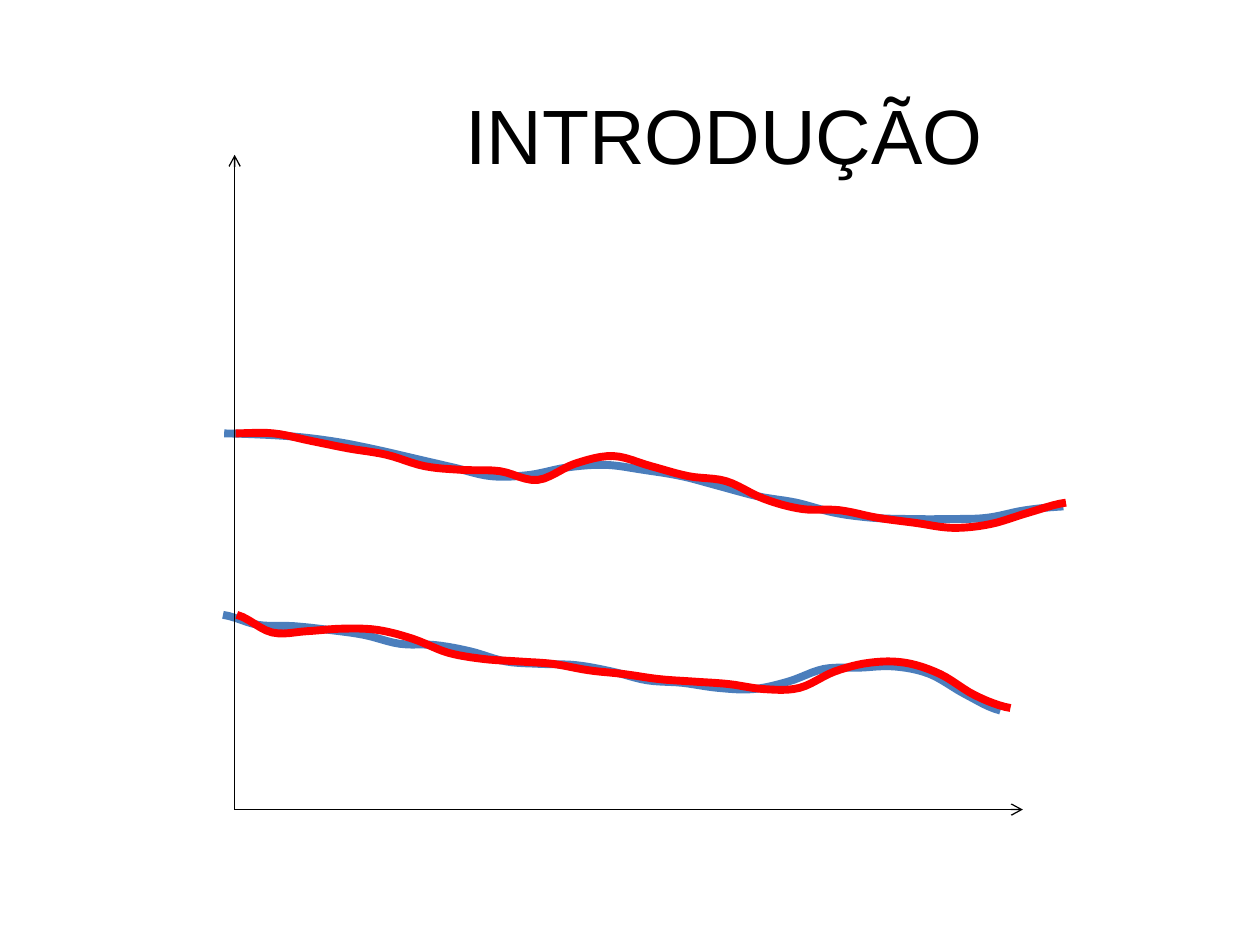
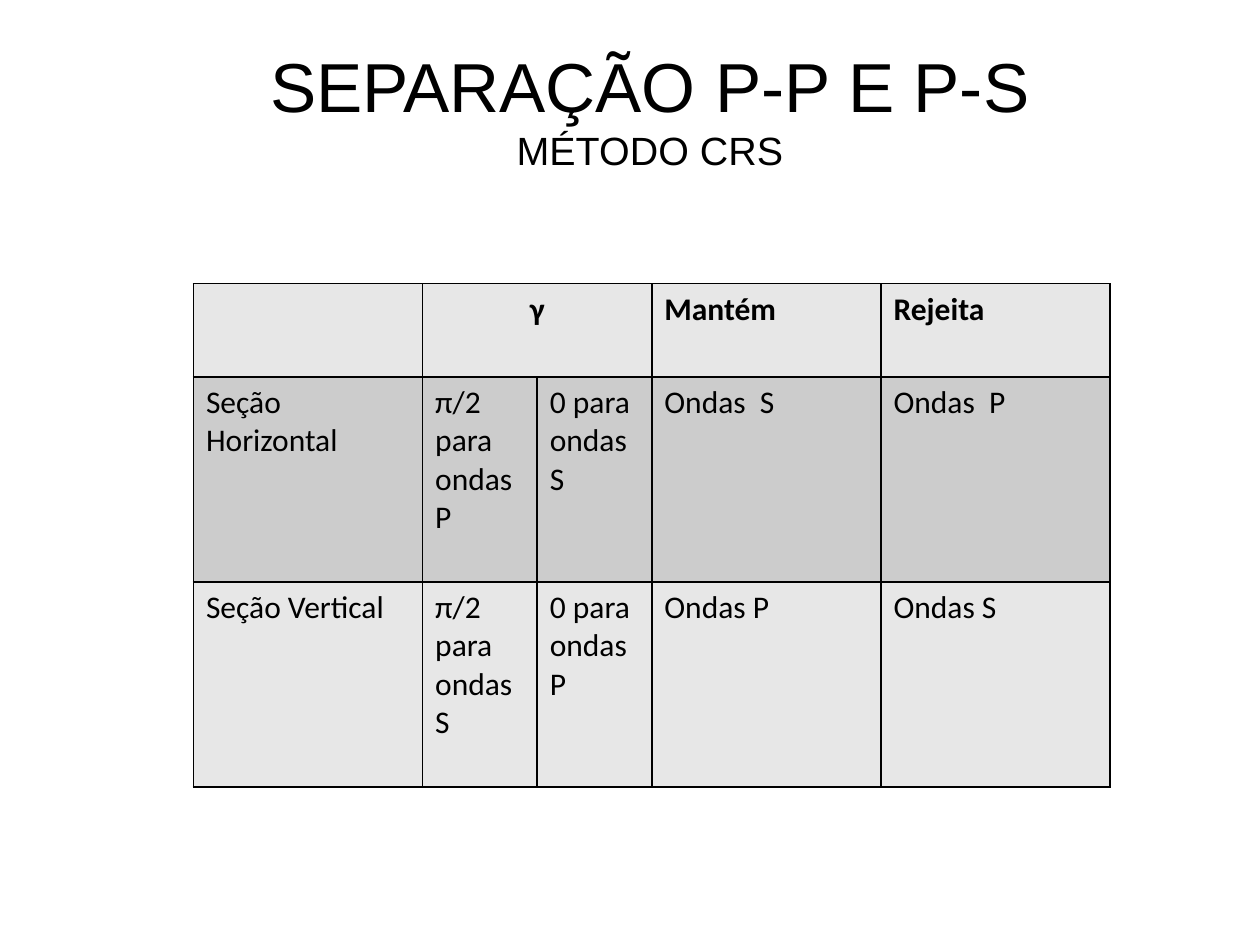
from lxml import etree
from pptx import Presentation, util as u
from pptx.dml.color import RGBColor
from pptx.enum import shapes, text
from pptx.oxml import ns

BLACK, BLUE, RED = "000000", "4B7EBC", "FF0000"
LIGHT, DARK = "E7E7E7", "CCCCCC"
GRID = u.Cm(0.0254)

UPPER_BLUE = [344, 345, 347, 351, 357, 364, 371, 378, 377, 371, 369, 373,
              378, 386, 394, 399, 407, 411, 412, 412, 411, 405, 402]
UPPER_RED = [344, 344, 350, 356, 361, 370, 373, 374, 381, 368, 362, 370,
             378, 382, 396, 404, 405, 411, 415, 419, 416, 407, 399]
LOWER_BLUE = [488, 496, 497, 500, 504, 511, 512, 517, 525, 527, 528, 533,
              540, 542, 546, 547, 541, 531, 530, 529, 535, 551, 564]
LOWER_RED = [488, 502, 501, 499, 500, 507, 518, 523, 525, 527, 532, 535,
             539, 541, 543, 547, 546, 533, 526, 526, 535, 552, 562]

TABLE_ROWS = [
    ["", "γ", "", "Mantém", "Rejeita"],
    ["Seção Horizontal", "π/2 para ondas P", "0 para ondas S", "Ondas  S", "Ondas  P"],
    ["Seção Vertical", "π/2 para ondas S", "0 para ondas P", "Ondas P", "Ondas S"]]


def rgb(value):
    """Turn a hex string into a colour."""
    return RGBColor.from_string(value)


def smooth(heights, parts=6):
    """Fill in heights between the given ones along a Catmull-Rom spline."""
    padded = [heights[0], *heights, heights[-1]]
    result = []
    for a, b, c, d in zip(padded, padded[1:], padded[2:], padded[3:]):
        for k in range(parts):
            t = k / parts
            result.append(b + t / 2 * (c - a + t * (2 * a - 5 * b + 4 * c - d
                                                    + t * (3 * b - a - 3 * c + d))))
    return result + [heights[-1]]


class Deck:
    """Hold the presentation, its style and the current slide."""

    title_font, body_font = "Arial", "Calibri"

    def __init__(self):
        """Start an empty 4:3 presentation."""
        self.prs = Presentation()
        self.prs.slide_width, self.prs.slide_height = u.Cm(25.4), u.Cm(19.05)

    def slide(self):
        """Add a blank slide and make it current."""
        self.s = self.prs.slides.add_slide(self.prs.slide_layouts[6])

    def font(self, p, name, size, bold=False):
        """Style a whole paragraph."""
        p.font.name, p.font.size, p.font.bold = name, u.Pt(size), bold
        p.font.color.rgb = rgb(BLACK)

    def title(self, left, top, *lines):
        """Write centred title lines given as (text, size)."""
        sp = self.s.shapes.add_textbox(u.Cm(left), u.Cm(top), u.Cm(21.59), u.Cm(2.54))
        tf = sp.text_frame
        tf.word_wrap, tf.vertical_anchor = True, text.MSO_ANCHOR.MIDDLE
        tf.text = "\n".join(line for line, _ in lines)
        for p, (_, size) in zip(tf.paragraphs, lines):
            p.alignment = text.PP_ALIGN.CENTER
            self.font(p, self.title_font, size)

    def axis(self, x1, y1, x2, y2):
        """Draw a thin axis with an open arrowhead at its end."""
        cx = self.s.shapes.add_connector(
            shapes.MSO_CONNECTOR.STRAIGHT, *map(u.Cm, (x1, y1, x2, y2)))
        cx.line.color.rgb, cx.line.width = rgb(BLACK), u.Pt(0.75)
        etree.SubElement(cx.line._get_or_add_ln(), ns.qn("a:tailEnd"), type="arrow")
        etree.SubElement(cx._element.spPr, ns.qn("a:effectLst"))

    def wave(self, start, end, heights, color):
        """Draw a thick curve through equally spaced heights, in grid units."""
        ys = smooth(heights)
        step = (end - start) / (len(ys) - 1)
        points = [((start + i * step) * GRID, y * GRID) for i, y in enumerate(ys)]
        fb = self.s.shapes.build_freeform(*points[0])
        fb.add_line_segments(points[1:], close=False)
        sp = fb.convert_to_shape()
        sp.shadow.inherit = False
        sp.fill.background()
        sp.line.color.rgb, sp.line.width = rgb(color), u.Pt(4.5)

    def border(self, cell):
        """Put a black one-point line on every side of a cell."""
        tc_pr = cell._tc.get_or_add_tcPr()
        for side in "LRTB":
            ln = etree.SubElement(tc_pr, ns.qn(f"a:ln{side}"), w=str(u.Pt(1)))
            fill = etree.SubElement(ln, ns.qn("a:solidFill"))
            etree.SubElement(fill, ns.qn("a:srgbClr"), val=BLACK)

    def table(self, left, top, widths, heights, rows):
        """Add a bordered table with a bold header and alternating fills."""
        gf = self.s.shapes.add_table(len(rows), len(widths), u.Cm(left), u.Cm(top),
                                     u.Cm(sum(widths)), u.Cm(sum(heights)))
        tbl = gf.table
        tbl.first_row = tbl.horz_banding = False
        for col, width in zip(tbl.columns, widths):
            col.width = u.Cm(width)
        for i, (row, height) in enumerate(zip(rows, heights)):
            tbl.rows[i].height = u.Cm(height)
            for j, value in enumerate(row):
                cell = tbl.cell(i, j)
                self.border(cell)
                cell.fill.solid()
                cell.fill.fore_color.rgb = rgb(DARK if i % 2 else LIGHT)
                cell.text = value
                self.font(cell.text_frame.paragraphs[0], self.body_font, 18, i == 0)
        return tbl


def introduction(deck):
    """Show two pairs of waves between a vertical and a horizontal axis."""
    deck.slide()
    deck.title(3.81, 1.42, ("INTRODUÇÃO", 44))
    deck.wave(177, 794, LOWER_BLUE, BLUE)
    deck.wave(178, 844, UPPER_BLUE, BLUE)
    origin = 4.73, 16.32
    deck.axis(*origin, 20.62, origin[1])
    deck.axis(*origin, origin[0], 3.12)
    deck.wave(187, 846, UPPER_RED, RED)
    deck.wave(188, 802, LOWER_RED, RED)


def separation(deck):
    """Show which waves each section keeps and rejects."""
    deck.slide()
    deck.title(2.31, 0.91, ("SEPARAÇÃO P-P E P-S", 39.6), ("MÉTODO CRS", 22.5))
    narrow = 2.31
    wide = 2 * narrow
    tbl = deck.table(3.9, 5.72, [wide, narrow, narrow, wide, wide],
                     [1.88, 4.13, 4.13], TABLE_ROWS)
    gamma = tbl.cell(0, 1)
    gamma.merge(tbl.cell(0, 2))
    gamma.text_frame.paragraphs[0].alignment = text.PP_ALIGN.CENTER


def main():
    """Build both slides and save them."""
    deck = Deck()
    introduction(deck)
    separation(deck)
    deck.prs.save("out.pptx")


if __name__ == "__main__":
    main()
